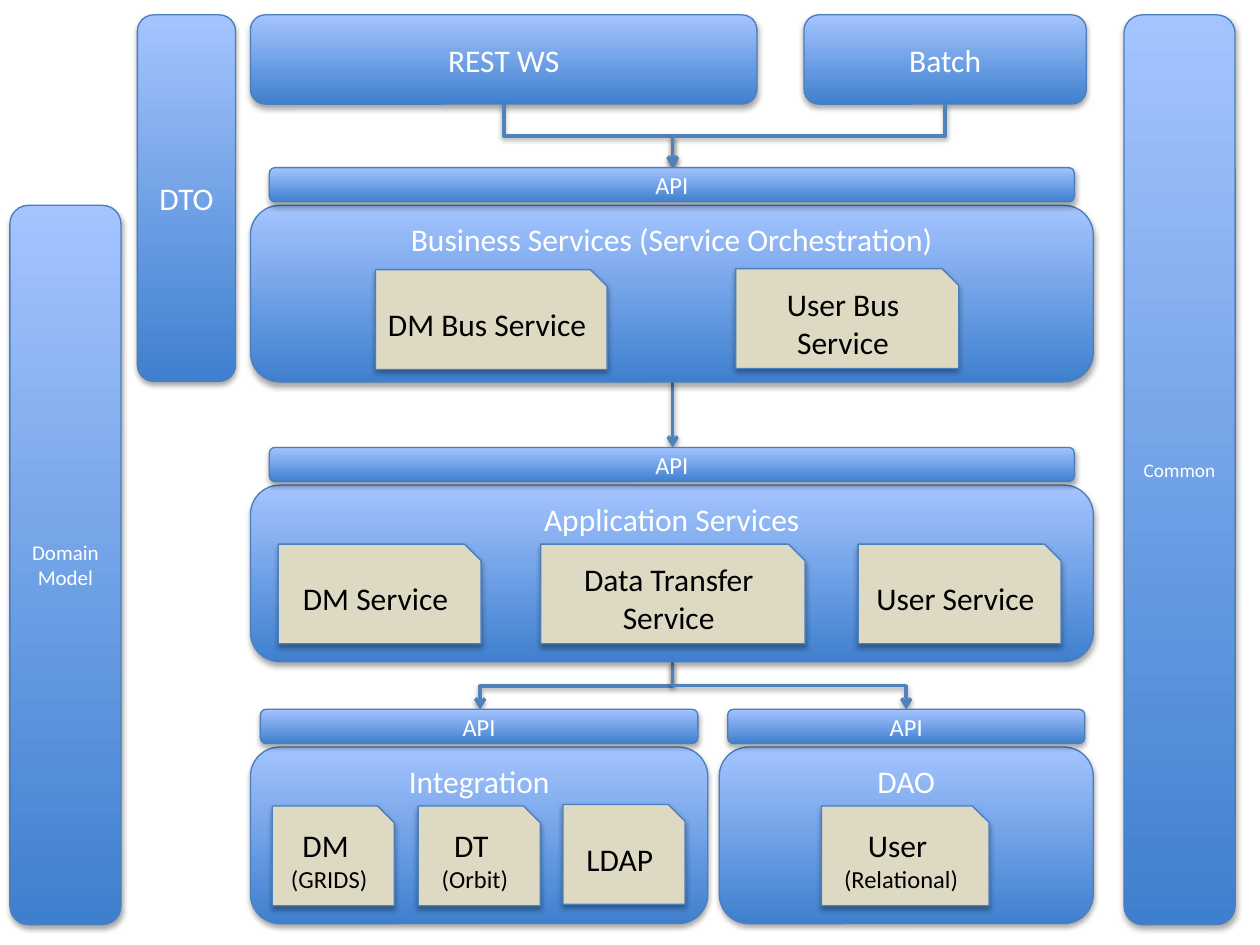
from lxml import etree
from pptx import Presentation
from pptx.dml.color import RGBColor as RGB
from pptx.enum.shapes import MSO_CONNECTOR as CONN, MSO_SHAPE as SHAPE
from pptx.enum.text import MSO_ANCHOR as ANCHOR, PP_ALIGN as ALIGN
from pptx.oxml.ns import qn
from pptx.util import Cm, Pt

COLORS = {"top": "A4C4FF", "bottom": "3F80CE", "edge": "4B7EBC", "arrow": "4F81BD",
          "card": "DDD9C3", "light": "FFFFFF", "dark": "000000"}
FONT = "Calibri"
LEFT, FULL_W = 5.05, 16.99
LAYER_H, API_H, API_RISE = 3.56, 0.69, 0.76
CARD_H = 2.01

# text, left, top, width, height, size
BLOCKS = [
    ("REST WS", LEFT, 0.3, 10.21, 1.8, 18),
    ("Batch", 16.21, 0.3, 5.69, 1.8, 18),
    ("DTO", 2.77, 0.3, 1.98, 7.39, 18),
    ("Domain Model", 0.2, 4.14, 2.24, 14.5, 12),
]
COMMON = ("Common", 22.66, 0.3, 2.24, 18.34, 11)

# from x, from y, to x, to y
ARROWS = [
    (10.16, 2.1, 13.56, 3.38),
    (19.05, 2.1, 13.56, 3.38),
    (13.56, 7.7, 13.56, 9.02),
    (13.56, 13.35, 9.68, 14.3),
    (13.56, 13.35, 18.27, 14.3),
]

# title, left, top, width, API inset, cards (lines, left, drop, width)
LAYERS = [
    ("Business Services (Service Orchestration)", LEFT, 4.14, FULL_W, 0.38, [
        (["DM Bus Service"], 7.57, 1.3, 4.67),
        (["User Bus Service"], 14.83, 1.28, 4.5)]),
    ("Application Services", LEFT, 9.78, FULL_W, 0.38, [
        (["DM Service"], 5.61, 1.19, 4.09),
        (["Data Transfer Service"], 10.9, 1.19, 5.33),
        (["User Service"], 17.3, 1.19, 4.09)]),
    ("Integration", LEFT, 15.06, 9.22, 0.2, [
        (["DM ", "(GRIDS)"], 5.49, 1.19, 2.46),
        (["DT ", "(Orbit)"], 8.43, 1.19, 2.46),
        (["LDAP"], 11.35, 1.16, 2.46)]),
    ("DAO", 14.5, 15.06, 7.54, 0.17, [
        (["User ", "(Relational)"], 16.56, 1.19, 3.38)]),
]


def rgb(name):
    """Look up a palette colour."""
    return RGB.from_string(COLORS[name])


def set_all(obj, fmt):
    """Set each attribute in fmt on obj."""
    for key, value in fmt.items():
        setattr(obj, key, value)


def add_shadow(sp_pr, alpha, dist):
    """Give a shape or connector a soft shadow below it."""
    effects = sp_pr.find(qn("a:effectLst"))
    if effects is None:
        effects = etree.SubElement(sp_pr, qn("a:effectLst"))
    shadow = etree.SubElement(effects, qn("a:outerShdw"), blurRad="40000",
                              dist=str(dist), dir="5400000", rotWithShape="0")
    color = etree.SubElement(shadow, qn("a:srgbClr"), val=COLORS["dark"])
    etree.SubElement(color, qn("a:alpha"), val=str(alpha * 1000))


def fill_gradient(fill):
    """Fill from dark at the bottom to light at the top."""
    fill.gradient()
    fill.gradient_angle = 90
    for stop, pos, name in zip(fill.gradient_stops, (0, 1), ("bottom", "top")):
        stop.position = pos
        stop.color.rgb = rgb(name)


def add_box(shapes, kind, box, lines, color, anchor=ANCHOR.MIDDLE):
    """Add an outlined, shadowed shape with (text, size) lines."""
    sp = shapes.add_shape(kind, *map(Cm, box))
    sp.shadow.inherit = False
    sp.line.color.rgb = rgb("edge")
    sp.line.width = Pt(0.75)
    add_shadow(sp._element.spPr, 35, 23000)
    tf = sp.text_frame
    set_all(tf, {"word_wrap": True, "vertical_anchor": anchor})
    for i, (text, size) in enumerate(lines):
        p = tf.add_paragraph() if i else tf.paragraphs[0]
        p.alignment = ALIGN.CENTER
        r = p.add_run()
        r.text = text
        set_all(r.font, {"name": FONT, "size": Pt(size)})
        r.font.color.rgb = rgb(color)
    return sp


def add_block(shapes, text, x, y, w, h, size, anchor=ANCHOR.MIDDLE):
    """Add a rounded gradient block."""
    sp = add_box(shapes, SHAPE.ROUNDED_RECTANGLE, (x, y, w, h),
                 [(text, size)], "light", anchor)
    fill_gradient(sp.fill)


def add_card(shapes, lines, x, y, w):
    """Add a snipped service card with smaller second line."""
    sp = add_box(shapes, SHAPE.SNIP_1_RECTANGLE, (x, y, w, CARD_H),
                 zip(lines, (18, 14)), "dark")
    sp.fill.solid()
    sp.fill.fore_color.rgb = rgb("card")


def add_layer(shapes, title, x, y, w, inset, cards):
    """Add a grouped layer: body, API bar and cards."""
    grp = shapes.add_group_shape().shapes
    add_block(grp, title, x, y, w, LAYER_H, 18, ANCHOR.TOP)
    add_block(grp, "API", x + inset, y - API_RISE, w - 2 * inset, API_H, 14)
    for lines, left, drop, width in cards:
        add_card(grp, lines, left, y + drop, width)


def add_arrow(shapes, x1, y1, x2, y2):
    """Add a downward arrow, with an elbow when the ends are not aligned."""
    if x1 == x2:
        cxn = shapes.add_connector(CONN.STRAIGHT, Cm(x1), Cm(y1), Cm(x2), Cm(y2))
    else:
        # An elbow leaves sideways, so lay it on its side and turn it.
        mx, my = (x1 + x2) / 2, (y1 + y2) / 2
        half_w, half_h = (y2 - y1) / 2, abs(x2 - x1) / 2
        turn = 90
        if x2 > x1:
            turn, half_w = 270, -half_w
        cxn = shapes.add_connector(CONN.ELBOW, Cm(mx - half_w), Cm(my - half_h),
                                   Cm(mx + half_w), Cm(my + half_h))
        cxn._element.spPr.find(qn("a:xfrm")).set("rot", str(turn * 60000))
    cxn.line.color.rgb = rgb("arrow")
    cxn.line.width = Pt(2)
    sp_pr = cxn._element.spPr
    etree.SubElement(sp_pr.find(qn("a:ln")), qn("a:tailEnd"), type="arrow")
    add_shadow(sp_pr, 38, 20000)


def main():
    """Build the layered architecture slide."""
    prs = Presentation()
    set_all(prs, {"slide_width": Cm(25.4), "slide_height": Cm(19.05)})
    s = prs.slides.add_slide(prs.slide_layouts[6])
    for block in BLOCKS:
        add_block(s.shapes, *block)
    for arrow in ARROWS:
        add_arrow(s.shapes, *arrow)
    for layer in LAYERS:
        add_layer(s.shapes, *layer)
    add_block(s.shapes, *COMMON)
    prs.save("out.pptx")


main()
